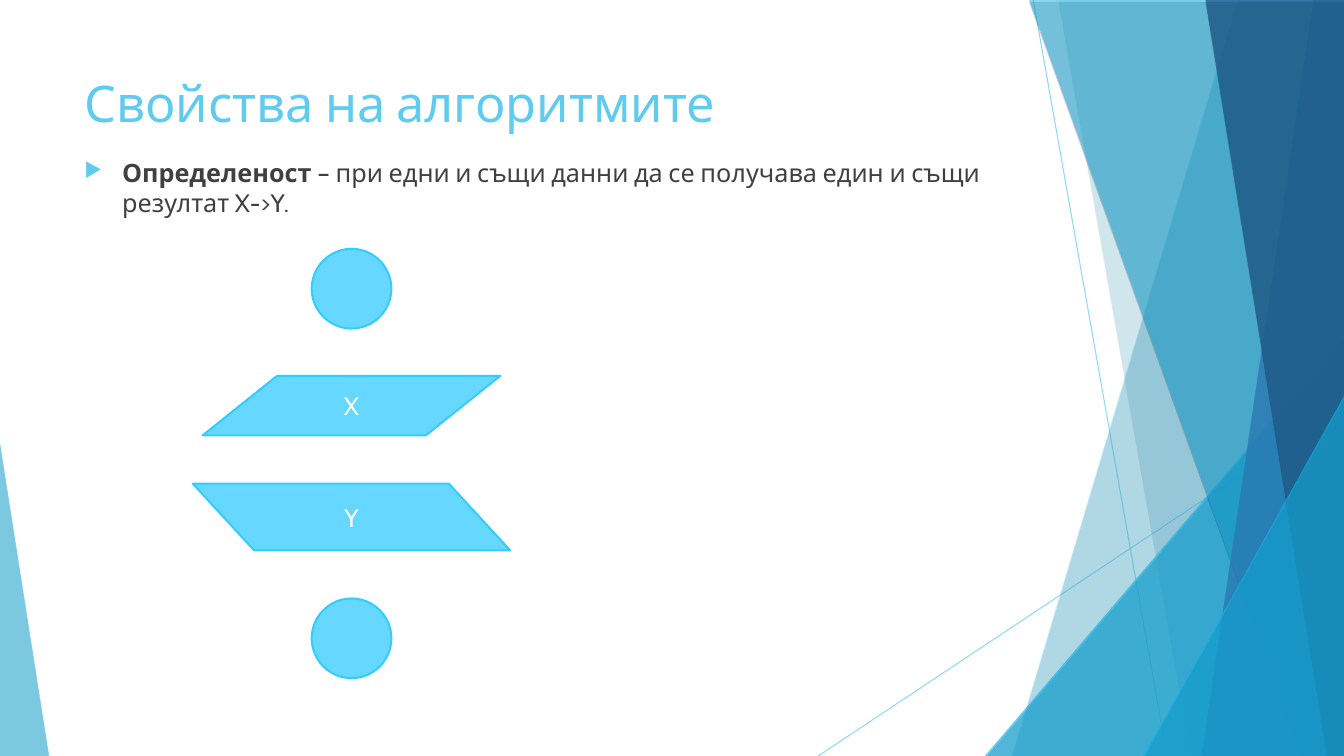
from dataclasses import dataclass

from lxml.etree import SubElement
from pptx import Presentation
from pptx.dml.color import RGBColor
from pptx.enum.shapes import MSO_CONNECTOR as Link, MSO_SHAPE as Preset
from pptx.enum.text import MSO_ANCHOR as Anchor, PP_ALIGN as Align
from pptx.oxml.ns import qn
from pptx.util import Cm, Pt


@dataclass(frozen=True)
class Theme:
    """Colours, font and type sizes of the slide."""
    font: str = "Cabin"
    sky: str = "5FCBEF"
    cyan: str = "17B0E4"
    blue: str = "2E83C3"
    navy: str = "226292"
    figure: str = "33CCFF"
    body: str = "404040"
    white: str = "FFFFFF"
    title_size: int = 36
    body_size: int = 18
    hairline: float = 0.75
    outline: float = 1.42


class SlideBuilder:
    """Draws styled elements on the current page."""

    def __init__(self, page, theme, width, height):
        self.page, self.theme = page, theme
        self.width, self.height = width, height

    def set_alpha(self, element, percent):
        """Set the opacity of the first colour in an element."""
        colour = element.spPr.find(".//" + qn("a:srgbClr"))
        SubElement(colour, qn("a:alpha"), val=str(percent * 1000))

    def paint(self, shape, colour, alpha):
        """Fill a shape with a translucent colour and no shadow."""
        shape.fill.solid()
        shape.fill.fore_color.rgb = RGBColor.from_string(colour)
        self.set_alpha(shape.element, alpha)
        shape.shadow.inherit = False

    def paint_facet(self, shape, colour, alpha):
        """Fill a background facet and give it a thin drop shadow."""
        self.paint(shape, colour, alpha)
        shape.line.fill.background()
        effects = shape.element.spPr.find(qn("a:effectLst"))
        shadow = SubElement(effects, qn("a:outerShdw"), blurRad="0",
                            dist=str(Pt(2)), dir="5400000", rotWithShape="0")
        tint = SubElement(shadow, qn("a:srgbClr"), val="000000")
        SubElement(tint, qn("a:alpha"), val="35000")

    def ray(self, x1, y1, x2, y2):
        """Draw a thin translucent line."""
        line = self.page.shapes.add_connector(Link.STRAIGHT, Cm(x1), Cm(y1), Cm(x2), Cm(y2))
        line.line.color.rgb = RGBColor.from_string(self.theme.sky)
        line.line.width = Pt(self.theme.hairline)
        self.set_alpha(line.element, 70)
        SubElement(line.element.spPr, qn("a:effectLst"))

    def band(self, top_x, bottom_x, colour, alpha):
        """Draw a full-height facet reaching the right edge."""
        top = Cm(-0.02)
        right, bottom = Cm(self.width), Cm(self.height)
        builder = self.page.shapes.build_freeform(Cm(top_x), top)
        builder.add_line_segments([(right, top), (right, bottom), (Cm(bottom_x), bottom)])
        self.paint_facet(builder.convert_to_shape(), colour, alpha)

    def corner(self, left, top, width, apex, colour, alpha):
        """Draw a right triangle standing on the bottom edge."""
        shape = self.page.shapes.add_shape(
            Preset.ISOSCELES_TRIANGLE, Cm(left), Cm(top), Cm(width), Cm(self.height - top))
        shape.adjustments[0] = apex
        self.paint_facet(shape, colour, alpha)

    def style(self, span, size, colour, bold=False):
        """Apply the theme font to a run."""
        span.font.name, span.font.size, span.font.bold = self.theme.font, Pt(size), bold
        span.font.color.rgb = RGBColor.from_string(colour)

    def text(self, left, top, width, height):
        """Add a wrapping text box and return its first paragraph."""
        box = self.page.shapes.add_textbox(Cm(left), Cm(top), Cm(width), Cm(height))
        box.text_frame.word_wrap = True
        return box.text_frame.paragraphs[0]

    def title(self, wording, *place):
        """Add the slide title."""
        para = self.text(*place)
        para.text = wording
        self.style(para.runs[0], self.theme.title_size, self.theme.sky)

    def bullet(self, term, meaning, *place):
        """Add a bulleted definition with a bold term."""
        para = self.text(*place)
        para.text = term
        para.add_run().text = meaning
        for span, bold in zip(para.runs, (True, False)):
            self.style(span, self.theme.body_size, self.theme.body, bold)
        para.space_before = Pt(10)
        props = para._p.get_or_add_pPr()
        props.set("marL", str(Cm(0.95)))
        props.set("indent", str(Cm(-0.95)))
        SubElement(SubElement(props, qn("a:buClr")), qn("a:srgbClr"), val=self.theme.sky)
        SubElement(props, qn("a:buSzPct"), val="80000")
        SubElement(props, qn("a:buChar"), char="▶")

    def figure(self, preset, axis, top, width, height, label="", slant=None, flip=False):
        """Add a flowchart figure centred on a vertical axis."""
        shape = self.page.shapes.add_shape(
            preset, Cm(axis - width / 2), Cm(top), Cm(width), Cm(height))
        if slant is not None:
            shape.adjustments[0] = slant
        if flip:
            shape.element.spPr.xfrm.set("flipH", "1")
        self.paint(shape, self.theme.figure, 75)
        shape.line.color.rgb = RGBColor.from_string(self.theme.figure)
        shape.line.width = Pt(self.theme.outline)
        if label:
            shape.text_frame.text = label
            shape.text_frame.vertical_anchor = Anchor.MIDDLE
            para = shape.text_frame.paragraphs[0]
            para.alignment = Align.CENTER
            self.style(para.runs[0], self.theme.body_size, self.theme.white)


def main():
    """Build and save the slide."""
    width, height, axis = 33.87, 19.05, 8.86
    deck = Presentation()
    deck.slide_width, deck.slide_height = Cm(width), Cm(height)
    theme = Theme()
    page = deck.slides.add_slide(deck.slide_layouts[6])
    slide = SlideBuilder(page, theme, width, height)

    slide.ray(26.04, 0, 29.41, height)
    slide.ray(width, 10.24, 20.62, height)
    slide.band(31.19, 25.5, theme.sky, 36)
    slide.band(26.67, 30.02, theme.sky, 20)
    slide.corner(24.82, 8.46, 9.05, 1, theme.cyan, 66)
    slide.band(25.93, 32.79, theme.cyan, 50)
    slide.band(33.1, 30.28, theme.blue, 70)
    slide.band(30.38, 33.45, theme.navy, 80)
    slide.corner(28.81, 9.98, 5.06, 1, theme.cyan, 66)
    slide.corner(0, 11.15, 1.24, 0, theme.sky, 70)

    slide.title("Свойства на алгоритмите", 1.88, 1.7, 23.88, 3.66)
    slide.bullet("Определеност ",
                 "– при едни и същи данни да се получава един и същи резултат X->Y.",
                 1.88, 3.84, 23.88, 12.93)

    for top in (6.27, 15.08):
        slide.figure(Preset.OVAL, axis, top, 2.01, 2.01)
    slide.figure(Preset.PARALLELOGRAM, axis, 9.47, 7.5, 1.5, "X", 1.25)
    slide.figure(Preset.PARALLELOGRAM, axis, 12.19, 8, 1.68, "Y", 0.92, flip=True)
    deck.save("out.pptx")


if __name__ == "__main__":
    main()
